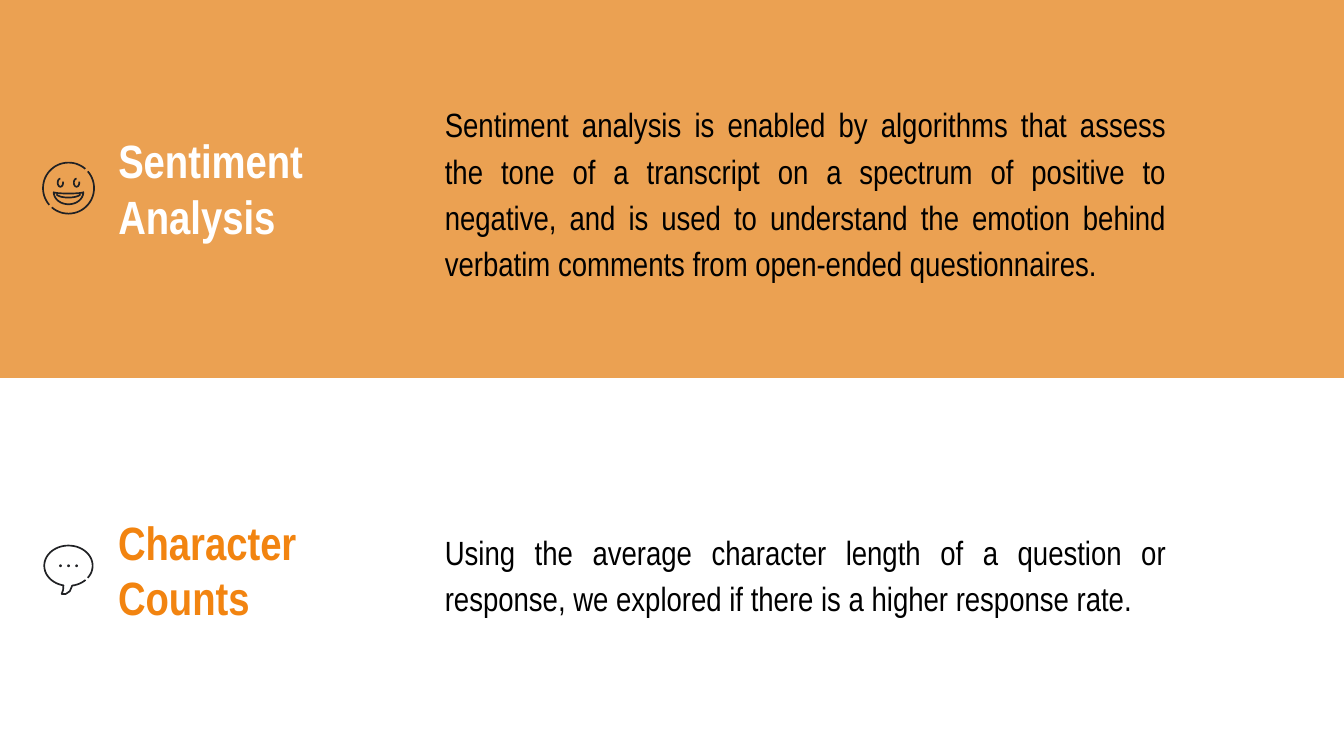
import math
from dataclasses import dataclass

from lxml import etree
from pptx import Presentation
from pptx.dml.color import RGBColor
from pptx.enum import shapes, text
from pptx.oxml.ns import qn
from pptx.util import Inches, Pt


@dataclass(frozen=True)
class Theme:
    font: str = "Arial Narrow"
    heading_size: int = 25
    body_size: int = 18
    band: str = "EBA152"
    accent: str = "F28410"
    white: str = "FFFFFF"
    black: str = "000000"
    ink: str = "202124"
    icon_line: float = 0.9


THEME = Theme()
PAGE_WIDTH = 10
PAGE_HEIGHT = PAGE_WIDTH * 9 / 16
HEADING_LEFT, BODY_LEFT = 0.78, 3.21
HEADING_HEIGHT = 1.04
BODY_WIDTH = 5.57


def color(value):
    return RGBColor.from_string(value)


def place(box, left, top, width, height):
    box.left, box.top = Inches(left), Inches(top)
    box.width, box.height = Inches(width), Inches(height)


def write(box, words, *, size, ink, bold=False, spacing=1.0,
          align=text.PP_ALIGN.LEFT):
    frame = box.text_frame
    frame.word_wrap = True
    frame.auto_size = text.MSO_AUTO_SIZE.NONE
    frame.vertical_anchor = text.MSO_ANCHOR.TOP
    frame.margin_left = frame.margin_right = Inches(0.1)
    frame.margin_top = frame.margin_bottom = Inches(0.1)
    para = frame.paragraphs[0]
    para.alignment, para.line_spacing = align, spacing
    para.space_before = para.space_after = Pt(0)
    span = para.add_run()
    span.text = words
    span.font.name, span.font.size = THEME.font, Pt(size)
    span.font.bold, span.font.color.rgb = bold, color(ink)
    return para


def write_heading(box, words, top, width, ink):
    place(box, HEADING_LEFT, top, width, HEADING_HEIGHT)
    write(box, words, size=THEME.heading_size, ink=ink, bold=True)


def write_body(box, words, top, height):
    place(box, BODY_LEFT, top, BODY_WIDTH, height)
    para = write(box, words, size=THEME.body_size, ink=THEME.black,
                 spacing=1.15, align=text.PP_ALIGN.JUSTIFY)
    properties = para._p.get_or_add_pPr()
    properties.set("marL", "0")
    properties.set("indent", "0")
    etree.SubElement(properties, qn("a:buNone"))


def add_filled(page, kind, left, top, width, height, fill):
    shape = page.shapes.add_shape(
        kind, Inches(left), Inches(top), Inches(width), Inches(height))
    shape.shadow.inherit = False
    shape.fill.solid()
    shape.fill.fore_color.rgb = color(fill)
    shape.line.fill.background()
    return shape


def arc(x, y, rx, ry, start, end):
    """Points on an ellipse; degrees run clockwise from the right."""
    steps = max(6, round(abs(end - start) / 6))
    angles = [math.radians(start + (end - start) * i / steps)
              for i in range(steps + 1)]
    return [(x + rx * math.cos(a), y + ry * math.sin(a)) for a in angles]


def add_stroke(page, points, close=False):
    corners = [(Inches(x), Inches(y)) for x, y in points]
    builder = page.shapes.build_freeform(*corners[0], scale=1.0)
    builder.add_line_segments(corners[1:], close=close)
    stroke = builder.convert_to_shape()
    stroke.shadow.inherit = False
    stroke.fill.background()
    stroke.line.color.rgb = color(THEME.ink)
    stroke.line.width = Pt(THEME.icon_line)


def add_smile_icon(page):
    x, y, radius = 0.51, 1.4, 0.19
    for start in (-41, 139):
        add_stroke(page, arc(x, y, radius, radius, start, start + 172))
    for eye in (x - 0.06, x + 0.06):
        add_stroke(page, arc(eye, 1.36, 0.02, 0.03, -15, 270))
    lip = arc(x, 1.43, 0.11, 0.01, 180, 0)
    add_stroke(page, lip + arc(x, 1.43, 0.11, 0.09, 0, 180), close=True)
    add_stroke(page, arc(x, 1.44, 0.09, 0.03, 10, 170))


def add_speech_icon(page):
    x, y, rx, ry = 0.51, 4.21, 0.18, 0.15
    outline = arc(x, y, rx, ry, 37, -258)
    tail = [(0.47, 4.39), (0.46, 4.42), (0.49, 4.42), (0.52, 4.4)]
    add_stroke(page, outline + tail + arc(x, y, rx, ry, 81, 45))
    for i in range(3):
        add_filled(page, shapes.MSO_SHAPE.OVAL, 0.44 + 0.06 * i, 4.2,
                   0.02, 0.02, THEME.ink)


def main():
    deck = Presentation()
    deck.slide_width = Inches(PAGE_WIDTH)
    deck.slide_height = Inches(PAGE_HEIGHT)
    page = deck.slides.add_slide(deck.slide_layouts.get_by_name("Two Content"))
    title, sentiment, counts = page.placeholders

    band = add_filled(page, shapes.MSO_SHAPE.RECTANGLE, 0, 0, PAGE_WIDTH,
                      PAGE_HEIGHT / 2, THEME.band)
    title.element.addprevious(band.element)

    write_heading(title, "Sentiment Analysis", 0.88, 1.84, THEME.white)
    second_heading = page.shapes.add_textbox(0, 0, 0, 0)
    write_heading(second_heading, "Character Counts", 3.72, 1.91, THEME.accent)

    write_body(sentiment, "Sentiment analysis is enabled by algorithms that "
               "assess the tone of a transcript on a spectrum of positive to "
               "negative, and is used to understand the emotion behind "
               "verbatim comments from open-ended questionnaires.", 0.63, 1.55)
    write_body(counts, "Using the average character length of a question or "
               "response, we explored if there is a higher response rate.",
               3.81, 0.85)

    add_smile_icon(page)
    add_speech_icon(page)
    deck.save("out.pptx")


if __name__ == "__main__":
    main()
